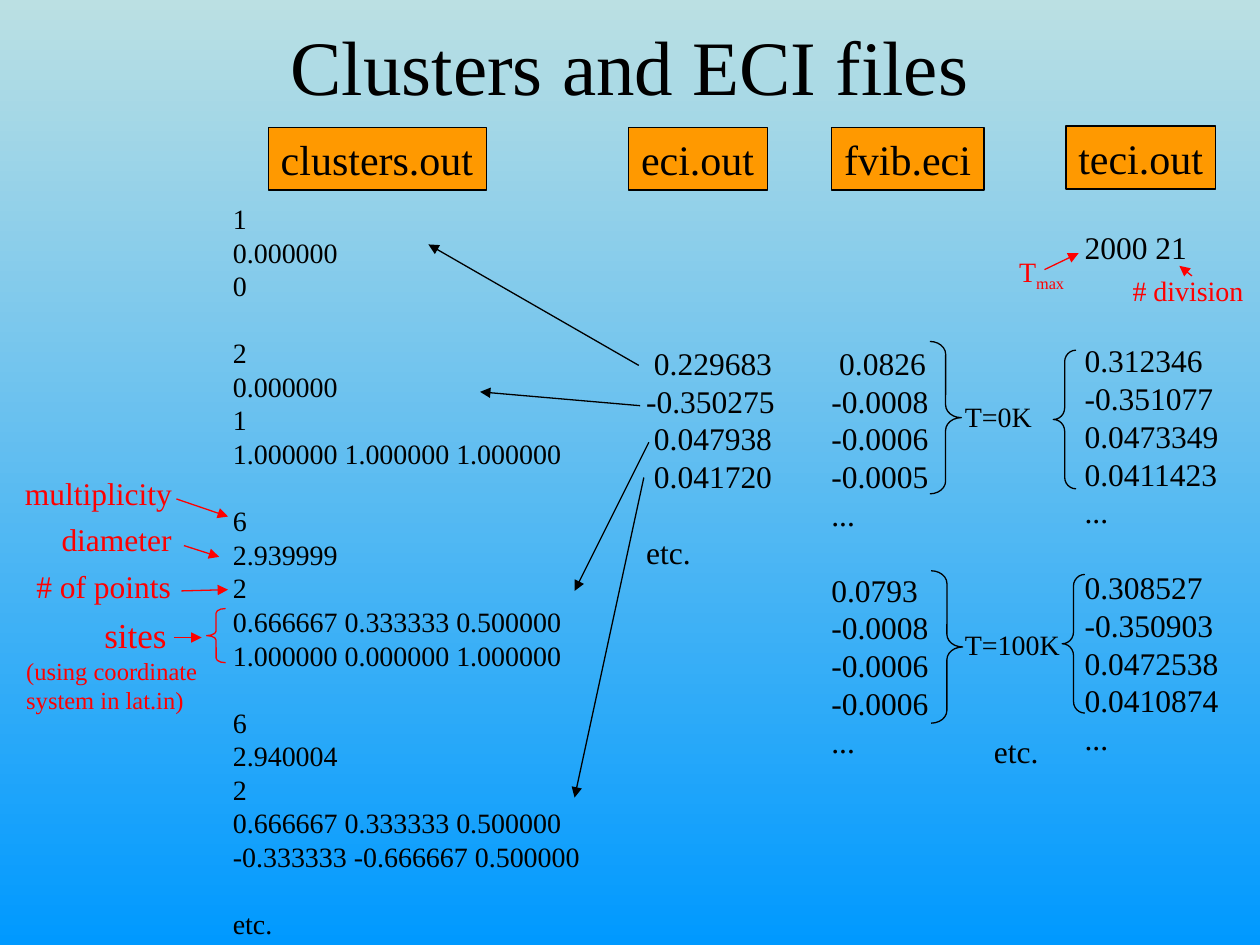
from pptx import Presentation
from pptx.dml.color import RGBColor
from pptx.enum.shapes import MSO_CONNECTOR, MSO_SHAPE
from pptx.enum.text import MSO_ANCHOR, MSO_AUTO_SIZE, PP_ALIGN
from pptx.oxml.ns import qn
from pptx.util import Inches, Pt
from lxml import etree

BLACK = RGBColor(0x00, 0x00, 0x00)
RED = RGBColor(0xFF, 0x00, 0x00)
ORANGE = RGBColor(0xFF, 0x99, 0x00)
SKY = RGBColor(0xBB, 0xE0, 0xE3)
BLUE = RGBColor(0x00, 0x99, 0xFF)
FONT = "Times New Roman"
LINE_WIDTH = Pt(0.75)
RECT, LEFT, RIGHT = MSO_SHAPE.RECTANGLE, MSO_SHAPE.LEFT_BRACE, MSO_SHAPE.RIGHT_BRACE

TITLE = "Clusters and ECI files"

HEADERS = [  # name, left, top, width
    ("clusters.out", 2.13, 1.01, 1.73),
    ("eci.out", 4.99, 1.01, 1.1),
    ("fvib.eci", 6.6, 1.01, 1.21),
    ("teci.out", 8.46, 1, 1.19),
]

# File contents: box, text size, blocks of lines, blank lines between blocks
LISTINGS = [
    ((1.75, 1.55, 3.61, 5.97), 16, [
        ["1", "0.000000", "0"],
        ["2", "0.000000", "1", "1.000000 1.000000 1.000000"],
        ["6", "2.939999", "2", "0.666667 0.333333 0.500000",
         "1.000000 0.000000 1.000000"],
        ["6", "2.940004", "2", "0.666667 0.333333 0.500000",
         "-0.333333 -0.666667 0.500000"],
        ["etc."]], [1, 1, 1, 1]),
    ((5.03, 2.68, 1.6, 1.9), 18, [
        [" 0.229683", "-0.350275", " 0.047938", " 0.041720"],
        ["etc."]], [1]),
    ((6.5, 2.68, 1.08, 3.86), 18, [
        [" 0.0826", "-0.0008", "-0.0006", "-0.0005", "..."],
        ["0.0793", "-0.0008", "-0.0006", "-0.0006", "..."]], [1]),
    ((8.51, 1.76, 1.4, 4.6), 18, [
        ["2000 21"],
        ["0.312346", "-0.351077", "0.0473349", "0.0411423", "..."],
        ["0.308527", "-0.350903", "0.0472538", "0.0410874", "..."]], [2, 1]),
]

LABELS = [  # text, subscript, box, size, colour
    ("multiplicity", "", (0.1, 3.71, 1.36, 0.4), 18, RED),
    ("diameter", "", (0.39, 4.08, 1.07, 0.4), 18, RED),
    ("# of points", "", (0.19, 4.45, 1.27, 0.4), 18, RED),
    ("T=0K", "", (7.56, 3.12, 0.73, 0.37), 16, BLACK),
    ("T=100K", "", (7.56, 4.93, 0.95, 0.37), 16, BLACK),
    ("etc.", "", (7.79, 5.76, 0.55, 0.4), 18, BLACK),
    ("T", "max", (7.99, 2.01, 0.55, 0.37), 16, RED),
    ("# division", "", (8.89, 2.12, 1.08, 0.37), 16, RED),
]

SITES = [("sites", 20, 0.62), ("(using coordinate", 14, 0), ("system in lat.in)", 14, 0)]

BRACES = [  # shape, box, colour
    (LEFT, (1.64, 4.83, 0.15, 0.43), RED),
    (RIGHT, (7.38, 2.71, 0.25, 1.21), BLACK),
    (RIGHT, (7.39, 4.53, 0.25, 1.21), BLACK),
    (LEFT, (8.36, 2.78, 0.18, 1.1), BLACK),
    (LEFT, (8.43, 4.56, 0.18, 1.1), BLACK),
]

ARROWS = {  # start x, start y, end x, end y
    RED: [
        (1.4, 3.96, 1.81, 4.1),
        (1.46, 4.33, 1.74, 4.42),
        (1.44, 4.69, 1.81, 4.68),
        (1.38, 5.06, 1.6, 5.06),
        (8.29, 2.14, 8.56, 2.01),
        (9.46, 2.19, 9.36, 2.11),
    ],
    BLACK: [
        (5.07, 2.9, 3.4, 1.94),
        (5.08, 3.22, 3.81, 3.11),
        (5.15, 3.51, 4.56, 4.69),
        (5.11, 3.79, 4.56, 6.33),
    ],
}


def inches(values):
    return [Inches(v) for v in values]


def add_run(p, text, size, color):
    r = p.add_run()
    r.text = text
    r.font.name, r.font.size, r.font.color.rgb = FONT, Pt(size), color
    return r


def add_line(tf, text, size, color, gap=0):
    """Add one line of text, with gap blank lines of space above it."""
    p = tf.paragraphs[0]
    if p.runs:
        p = tf.add_paragraph()
    p.alignment = PP_ALIGN.LEFT
    p.line_spacing = Pt(1.2 * size)
    if gap:
        p.space_before = Pt(1.2 * size * gap)
    add_run(p, text, size, color)
    return p


def text_box(s, box, wrap=True):
    tf = s.shapes.add_textbox(*inches(box)).text_frame
    tf.word_wrap = wrap
    tf.auto_size = MSO_AUTO_SIZE.SHAPE_TO_FIT_TEXT if wrap else MSO_AUTO_SIZE.NONE
    return tf


def add_outlined(s, kind, box, color):
    sp = s.shapes.add_shape(kind, *inches(box))
    sp.shadow.inherit = False
    sp.fill.background()
    sp.line.color.rgb, sp.line.width = color, LINE_WIDTH
    return sp


def add_arrow(s, ends, color):
    c = s.shapes.add_connector(MSO_CONNECTOR.STRAIGHT, *inches(ends))
    c.line.color.rgb, c.line.width = color, LINE_WIDTH
    etree.SubElement(c.line._get_or_add_ln(), qn("a:tailEnd"), type="triangle")
    etree.SubElement(c._element.spPr, qn("a:effectLst"))


def main():
    prs = Presentation()
    prs.slide_width, prs.slide_height = Inches(10), Inches(7.5)
    s = prs.slides.add_slide(prs.slide_layouts[6])

    fill = s.background.fill
    fill.gradient()
    fill.gradient_angle = 270
    for stop, color, position in zip(fill.gradient_stops, (SKY, BLUE), (0, 1)):
        stop.color.rgb, stop.position = color, position

    tf = s.shapes.add_textbox(*inches((0.5, 0.09, 9, 0.85))).text_frame
    tf.word_wrap = True
    tf.vertical_anchor = MSO_ANCHOR.MIDDLE
    tf.paragraphs[0].alignment = PP_ALIGN.CENTER
    add_run(tf.paragraphs[0], TITLE, 44, BLACK)

    for name, left, top, width in HEADERS:
        sp = add_outlined(s, RECT, (left, top, width, 0.5), BLACK)
        sp.fill.solid()
        sp.fill.fore_color.rgb = ORANGE
        tf = sp.text_frame
        tf.word_wrap = False
        tf.auto_size = MSO_AUTO_SIZE.SHAPE_TO_FIT_TEXT
        tf.vertical_anchor = MSO_ANCHOR.TOP
        add_line(tf, name, 24, BLACK)

    for box, size, blocks, gaps in LISTINGS:
        tf = text_box(s, box)
        for block, gap in zip(blocks, [0] + gaps):
            for i, line in enumerate(block):
                add_line(tf, line, size, BLACK, 0 if i else gap)

    for text, subscript, box, size, color in LABELS:
        tf = text_box(s, box, wrap=False)
        tf.margin_right = 0  # spare room keeps each label on one line
        p = add_line(tf, text, size, color)
        if subscript:
            r = add_run(p, subscript, size, color)
            r.font._element.set("baseline", "-25000")

    tf = text_box(s, (0.11, 4.82, 1.63, 0.9))
    for text, size, indent in SITES:
        p = add_line(tf, text, size, RED)
        p._p.get_or_add_pPr().set("marL", str(Inches(indent)))

    for kind, box, color in BRACES:
        brace = add_outlined(s, kind, box, color)
        brace.adjustments[0] = box[3] / box[2] / 12

    for color, arrows in ARROWS.items():
        for ends in arrows:
            add_arrow(s, ends, color)

    prs.save("out.pptx")


if __name__ == "__main__":
    main()
